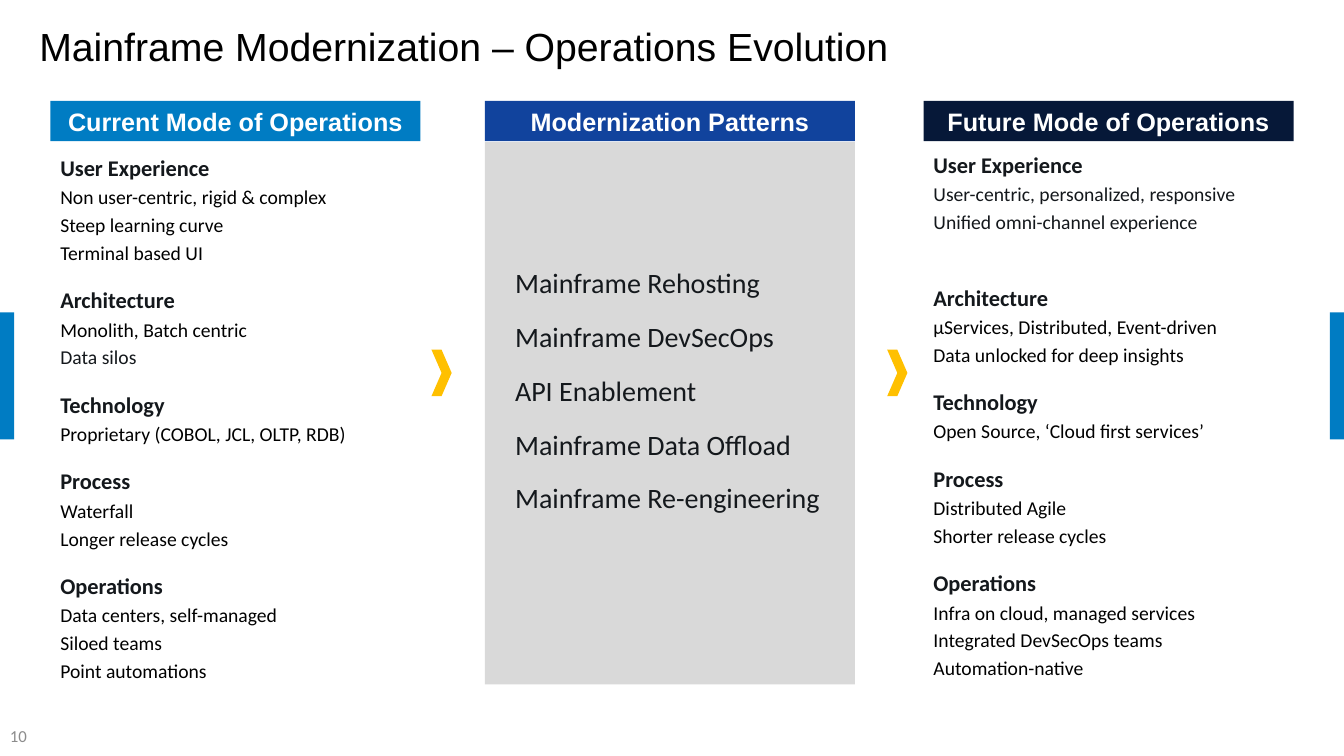
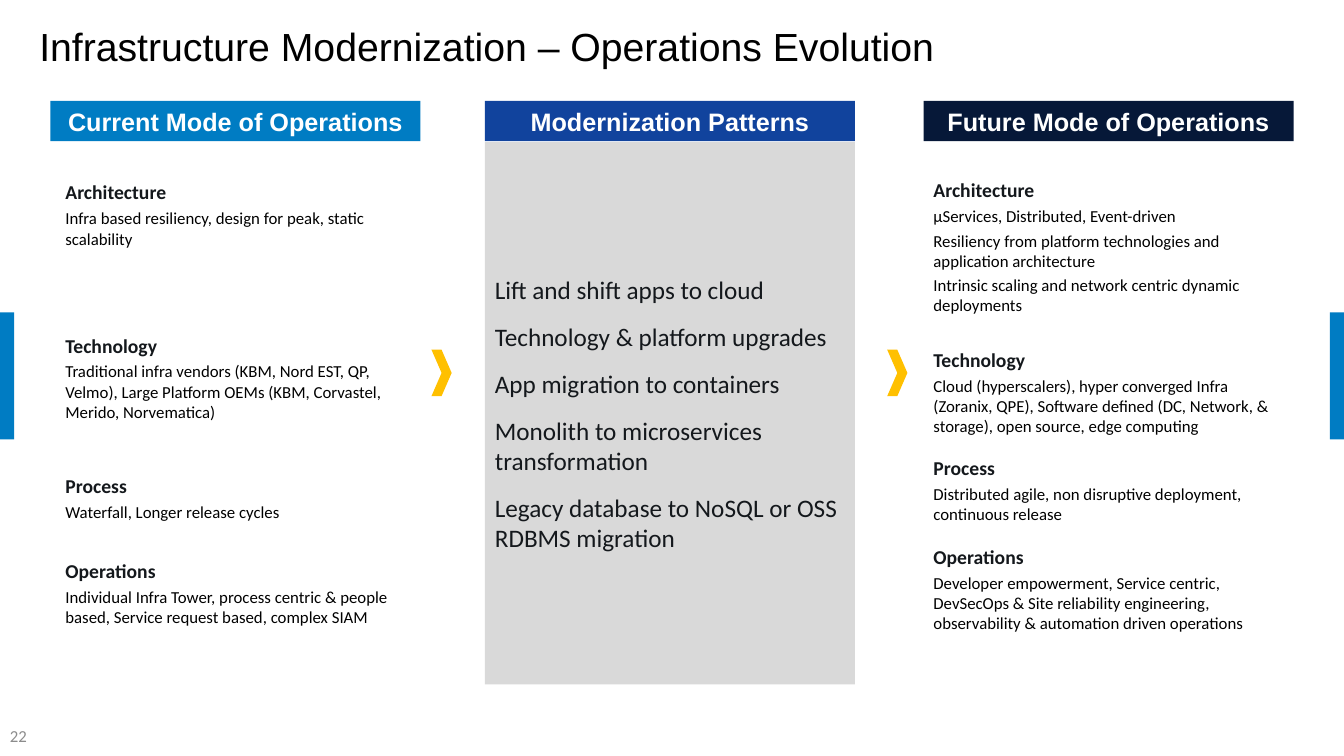
"""Build two slides that compare current and future modes of operations."""
from dataclasses import dataclass

from pptx import Presentation
from pptx.dml.color import RGBColor
from pptx.enum import shapes, text
from pptx.util import Inches, Pt


@dataclass(frozen=True)
class Theme:
    sky: str = "007CC3"
    blue: str = "11439D"
    navy: str = "061838"
    amber: str = "FFC000"
    panel: str = "D9D9D9"
    ink: str = "14181C"
    black: str = "000000"
    white: str = "FFFFFF"
    grey: str = "8C8C8C"
    head_font: str = "Arial"
    body_font: str = "Calibri"
    title_size: int = 28
    band_size: int = 18
    number_size: int = 12


T = Theme()
WIDTH, HEIGHT = 13.33, 7.5
COLUMN_WIDTH = 3.67
TITLE_BOX = (0.29, 0.22, 12.72, 0.66)
NUMBER_BOX = (0, 7.1, 3, 0.4)
PANEL_BOX = (4.81, 1.41, COLUMN_WIDTH, 5.38)
BANDS = [
    ("Current Mode of Operations", 0.5, T.sky),
    ("Modernization Patterns", 4.81, T.blue),
    ("Future Mode of Operations", 9.16, T.navy),
]
CHEVRON_LEFTS = (4.28, 8.8)
EDGE_WIDTH = 0.14
INK_LINES = {
    "Data silos",
    "User-centric, personalized, responsive",
    "Unified omni-channel experience",
}

SLIDES = [
    {
        "title": "Mainframe Modernization – Operations Evolution",
        "number": "10",
        "sizes": (16, 14),
        "patterns": {
            "box": (5.01, 2.42, 3.31, 2.78),
            "format": {"size": 20, "line": 1.5, "after": 2.4},
            "lines": [
                "Mainframe Rehosting",
                "Mainframe DevSecOps",
                "API Enablement",
                "Mainframe Data Offload",
                "Mainframe Re-engineering",
            ],
        },
        "columns": [
            ((0.5, 1.48, 4, 5.38), [
                ("User Experience", 0, [
                    "Non user-centric, rigid & complex",
                    "Steep learning curve",
                    "Terminal based UI",
                ]),
                ("Architecture", 12.8, ["Monolith, Batch centric", "Data silos"]),
                ("Technology", 12.8, ["Proprietary (COBOL, JCL, OLTP, RDB)"]),
                ("Process", 12.8, ["Waterfall", "Longer release cycles"]),
                ("Operations", 12.8, [
                    "Data centers, self-managed",
                    "Siloed teams",
                    "Point automations",
                ]),
            ]),
            ((9.16, 1.45, COLUMN_WIDTH, 5.44), [
                ("User Experience", 0, [
                    "User-centric, personalized, responsive",
                    "Unified omni-channel experience",
                ]),
                ("Architecture", 32.9, [
                    "µServices, Distributed, Event-driven",
                    "Data unlocked for deep insights",
                ]),
                ("Technology", 12.8, ["Open Source, ‘Cloud first services’"]),
                ("Process", 12.8, ["Distributed Agile", "Shorter release cycles"]),
                ("Operations", 12.8, [
                    "Infra on cloud, managed services",
                    "Integrated DevSecOps teams",
                    "Automation-native",
                ]),
            ]),
        ],
    },
    {
        "title": "Infrastructure Modernization – Operations Evolution",
        "number": "22",
        "sizes": (14, 12),
        "patterns": {
            "box": PANEL_BOX,
            "format": {"size": 18, "after": 12},
            "lines": [
                "Lift and shift apps to cloud",
                "Technology & platform upgrades",
                "App migration to containers",
                "Monolith to microservices transformation",
                "Legacy database to NoSQL or OSS RDBMS migration",
            ],
        },
        "columns": [
            ((0.55, 1.74, 3.62, 4.71), [
                ("Architecture", 0, [
                    "Infra based resiliency, design for peak, static scalability",
                ]),
                ("Technology", 57.7, [
                    "Traditional infra vendors (KBM, Nord EST, QP, Velmo), Large "
                    "Platform OEMs (KBM, Corvastel, Merido, Norvematica)",
                ]),
                ("Process", 34.6, ["Waterfall, Longer release cycles"]),
                ("Operations", 23.1, [
                    "Individual Infra Tower, process centric & people based, "
                    "Service request based, complex SIAM",
                ]),
            ]),
            ((9.16, 1.72, COLUMN_WIDTH, 4.64), [
                ("Architecture", 0, [
                    "µServices, Distributed, Event-driven",
                    "Resiliency from platform technologies and application architecture",
                    "Intrinsic scaling and network centric dynamic deployments",
                ]),
                ("Technology", 20.1, [
                    "Cloud (hyperscalers), hyper converged Infra (Zoranix, QPE), "
                    "Software defined (DC, Network, & storage), open source, "
                    "edge computing",
                ]),
                ("Process", 11.5, [
                    "Distributed agile, non disruptive deployment, continuous release",
                ]),
                ("Operations", 11.5, [
                    "Developer empowerment, Service centric, DevSecOps & Site "
                    "reliability engineering, observability & automation driven "
                    "operations",
                ]),
            ]),
        ],
    },
]


def add_text(tf, content, *, size, color=T.ink, font=T.body_font, bold=False,
             align=text.PP_ALIGN.LEFT, before=0, after=0, line=1.0):
    """Write one formatted paragraph into a text frame."""
    p = tf.paragraphs[-1]
    if p.runs:
        p = tf.add_paragraph()
    p.alignment = align
    p.space_before, p.space_after = Pt(before), Pt(after)
    p.line_spacing = line
    r = p.add_run()
    r.text = content
    r.font.size, r.font.name, r.font.bold = Pt(size), font, bold
    r.font.color.rgb = RGBColor.from_string(color)


def add_block(s, box, fill, kind=shapes.MSO_SHAPE.RECTANGLE):
    """Add a filled shape without outline and return its text frame."""
    sp = s.shapes.add_shape(kind, *map(Inches, box))
    sp.shadow.inherit = False
    sp.fill.solid()
    sp.fill.fore_color.rgb = RGBColor.from_string(fill)
    sp.line.fill.background()
    tf = sp.text_frame
    tf.word_wrap = True
    tf.vertical_anchor = text.MSO_ANCHOR.MIDDLE
    return tf


def add_box(s, box, anchor=text.MSO_ANCHOR.TOP):
    """Add a wrapping text box and return its text frame."""
    tf = s.shapes.add_textbox(*map(Inches, box)).text_frame
    tf.word_wrap = True
    tf.vertical_anchor = anchor
    return tf


def add_frame(s, title, number):
    """Add the title, edge marks, bands, chevrons and page number."""
    sp = s.shapes.title
    sp.left, sp.top, sp.width, sp.height = map(Inches, TITLE_BOX)
    tf = sp.text_frame
    tf.auto_size = text.MSO_AUTO_SIZE.NONE
    tf.vertical_anchor = text.MSO_ANCHOR.TOP
    add_text(tf, title, size=T.title_size, color=T.black, font=T.head_font, line=0.9)
    for left in (WIDTH - EDGE_WIDTH, 0):
        add_block(s, (left, 3.1, EDGE_WIDTH, 1.26), T.sky)
    for label, left, fill in BANDS:
        tf = add_block(s, (left, 1, COLUMN_WIDTH, 0.4), fill)
        add_text(tf, label, size=T.band_size, color=T.white, font=T.head_font,
                 bold=True, align=text.PP_ALIGN.CENTER)
    for left in CHEVRON_LEFTS:
        add_block(s, (left, 3.47, 0.2, 0.46), T.amber, shapes.MSO_SHAPE.CHEVRON)
    tf = add_box(s, NUMBER_BOX, text.MSO_ANCHOR.MIDDLE)
    add_text(tf, number, size=T.number_size, color=T.grey)


def add_patterns(s, patterns):
    """Add the grey panel and its list of modernization patterns."""
    tf = add_block(s, PANEL_BOX, T.panel)
    if patterns["box"] != PANEL_BOX:
        tf = add_box(s, patterns["box"])
    for line in patterns["lines"]:
        add_text(tf, line, **patterns["format"])


def add_column(s, box, sections, sizes):
    """Add a column of headed sections."""
    head_size, line_size = sizes
    tf = add_box(s, box)
    for heading, gap, lines in sections:
        add_text(tf, heading, size=head_size, bold=True, before=gap, after=3)
        for line in lines:
            color = T.ink if line in INK_LINES else T.black
            add_text(tf, line, size=line_size, color=color, after=3)


def main():
    """Build and save the presentation."""
    prs = Presentation()
    prs.slide_width, prs.slide_height = Inches(WIDTH), Inches(HEIGHT)
    for content in SLIDES:
        s = prs.slides.add_slide(prs.slide_layouts[5])
        add_frame(s, content["title"], content["number"])
        add_patterns(s, content["patterns"])
        for box, sections in content["columns"]:
            add_column(s, box, sections, content["sizes"])
    prs.save("out.pptx")


if __name__ == "__main__":
    main()
